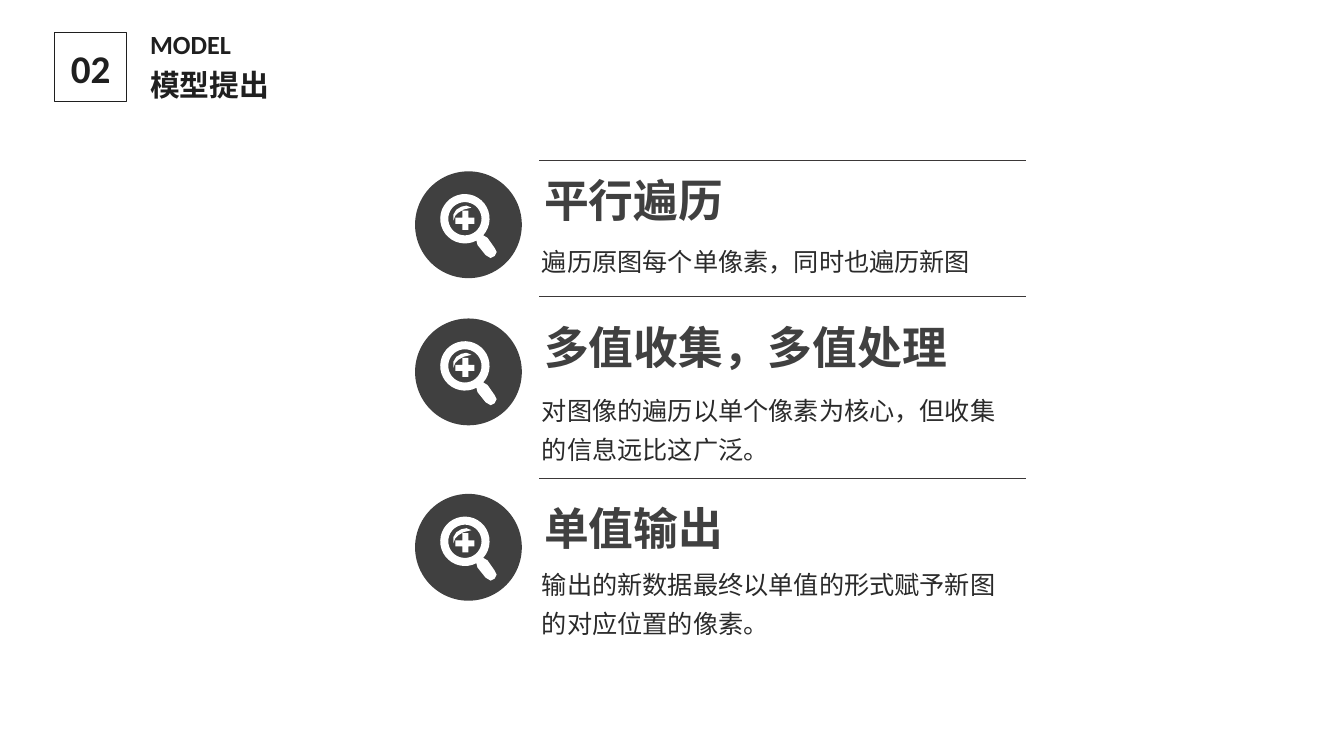
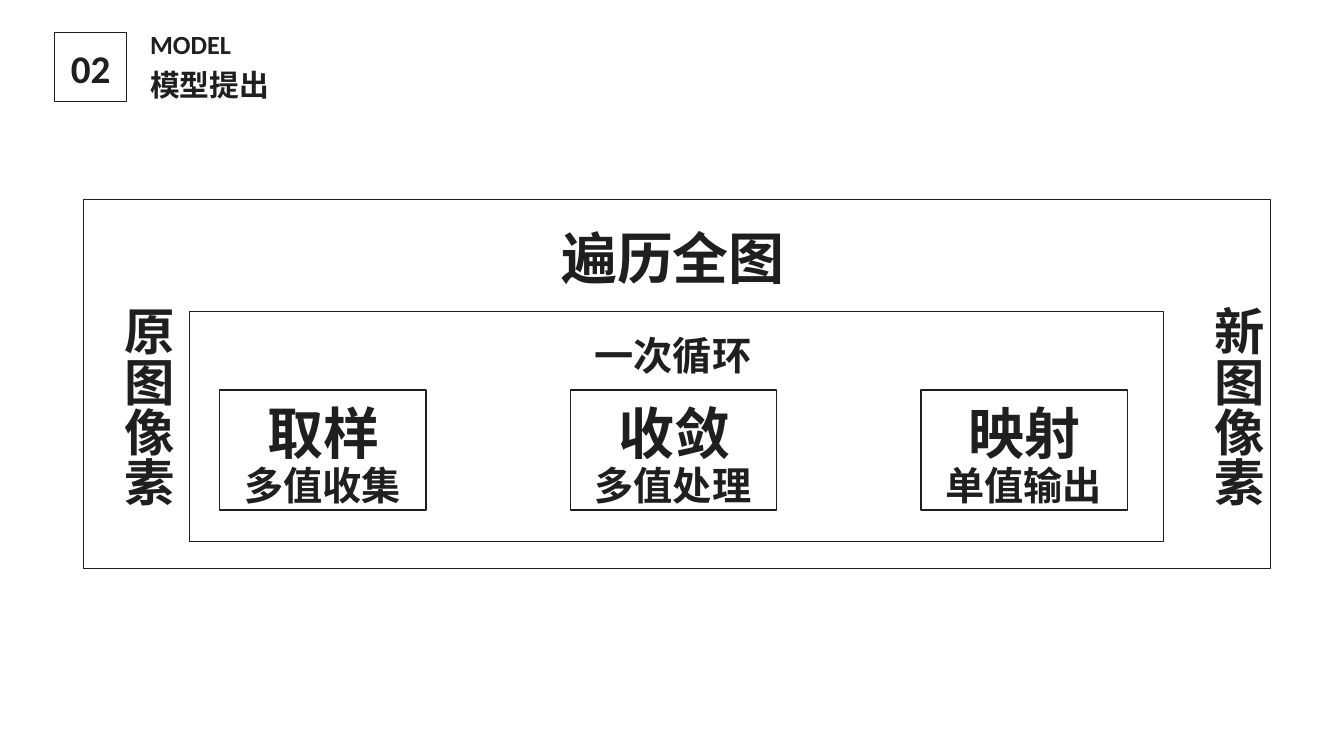
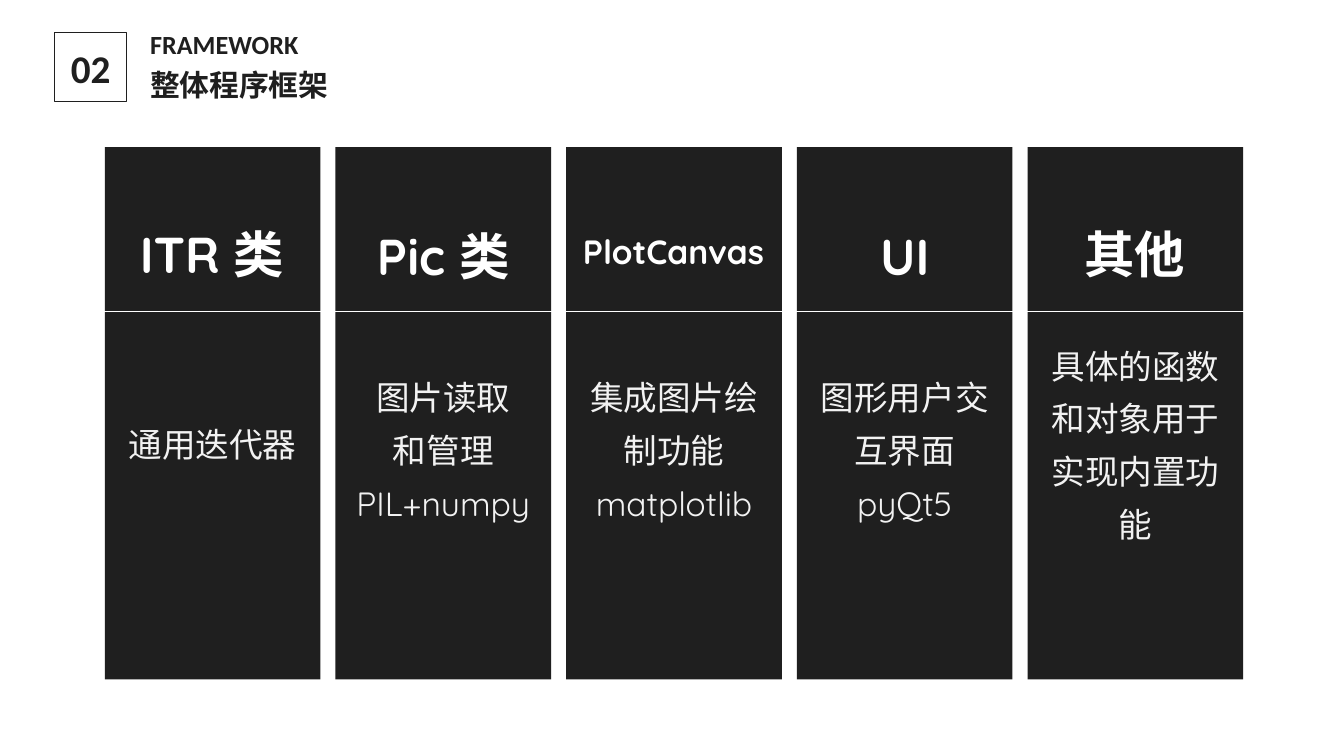
"""Build three slides on an image-processing model and its program framework."""
import math

import pptx
import pptx.dml.color
import pptx.enum.shapes
import pptx.enum.text
import pptx.oxml.ns
import pptx.util
from lxml import etree

PX = 9144
INK, GRAY, BODY, RULE, PALE, WHITE = "1F1F1F", "404040", "2A2A2A", "3B3838", "F2F2F2", "FFFFFF"
CJK = "Noto Sans CJK SC"
WIDE, NORMAL = (13, 7, 13, 7), (10, 5, 10, 5)
SHAPES = pptx.enum.shapes.MSO_SHAPE
LEFT, CENTER = pptx.enum.text.PP_ALIGN.LEFT, pptx.enum.text.PP_ALIGN.CENTER
TOP, MIDDLE = pptx.enum.text.MSO_ANCHOR.TOP, pptx.enum.text.MSO_ANCHOR.MIDDLE


def paint(shape, fill=None, line=None, width=1):
    """Set fill and outline from hex strings and drop the shadow."""
    rgb = pptx.dml.color.RGBColor.from_string
    if hasattr(shape, "fill"):
        shape.shadow.inherit = False
        if fill:
            shape.fill.solid()
            shape.fill.fore_color.rgb = rgb(fill)
        else:
            shape.fill.background()
    else:
        etree.SubElement(shape.element.spPr, pptx.oxml.ns.qn("a:effectLst"))
    if line:
        shape.line.color.rgb = rgb(line)
        shape.line.width = pptx.util.Pt(width)
    else:
        shape.line.fill.background()


def write(shape, lines, color, align=CENTER, anchor=TOP, margins=NORMAL, wrap=True):
    """Write lines of (text, size, font, bold, line height in ems)."""
    frame = shape.text_frame
    frame.word_wrap = wrap
    frame.auto_size = pptx.enum.text.MSO_AUTO_SIZE.NONE
    frame.vertical_anchor = anchor
    frame.margin_left, frame.margin_top, frame.margin_right, frame.margin_bottom = (
        margin * PX for margin in margins)
    for index, (text, size, font, bold, height) in enumerate(lines):
        paragraph = frame.add_paragraph() if index else frame.paragraphs[0]
        paragraph.alignment = align
        paragraph.space_before = pptx.util.Pt(0)
        paragraph.line_spacing = pptx.util.Pt(round(size * height, 1))
        run = paragraph.add_run()
        run.text = text
        run.font.size = pptx.util.Pt(size)
        run.font.bold = bold
        run.font.color.rgb = pptx.dml.color.RGBColor.from_string(color)
        run.font.name = font
        east_asian = etree.SubElement(run.font._element, pptx.oxml.ns.qn("a:ea"))
        east_asian.set("typeface", CJK)


presentation = pptx.Presentation()
presentation.slide_width, presentation.slide_height = 1334 * PX, 750 * PX

slides = []
for english, chinese in [("MODEL", "模型提出"), ("MODEL", "模型提出"), ("FRAMEWORK", "整体程序框架")]:
    slide = presentation.slides.add_slide(presentation.slide_layouts[5])
    title = slide.shapes.title
    title.left, title.top, title.width, title.height = 136 * PX, 19 * PX, 382 * PX, 88 * PX
    write(title, [(english, 18.7, "Calibri", True, 1.34), (chinese, 21.3, CJK, True, 1.43)],
          INK, LEFT, MIDDLE, WIDE)
    badge = slide.shapes.add_shape(SHAPES.RECTANGLE, 54 * PX, 32 * PX, 72 * PX, 69 * PX)
    paint(badge, line=INK, width=0.75)
    write(badge, [("02", 28, "Calibri", True, 1.22)], INK, CENTER, MIDDLE, WIDE)
    slides.append(slide)
steps_slide, loop_slide, framework_slide = slides

lens = [(49.5 + 24.5 * math.cos(math.radians(angle)), 47 + 24.5 * math.sin(math.radians(angle)))
        for angle in range(62, 403, 10)]
handle = [(67, 63), (72, 66), (79, 76), (81, 80), (79, 84), (75, 86), (70, 83), (62, 73), (61, 69)]
hole = [(49.5 + 16.5 * math.cos(math.radians(angle)), 47 + 16.5 * math.sin(math.radians(angle)))
        for angle in range(0, 360, 10)]
cross = [(47, 58), (53, 58), (53, 52), (59, 52), (59, 46), (53, 46),
         (53, 39), (47, 39), (47, 46), (40, 46), (40, 52), (47, 52)]
glint = [(38, 49), (40, 44), (43, 41), (48, 38), (56, 36), (51, 34), (46, 35), (41, 38), (38, 43)]
magnifier = [lens + handle, hole, cross, glint]

steps = [
    (159, 170, 160, 227, 206, 53, "平行遍历", "遍历原图每个单像素，同时也遍历新图"),
    (294, 316, 306, 374, 431, 92, "多值收集，多值处理", "对图像的遍历以单个像素为核心，但收集的信息远比这广泛。"),
    (475, 490, 485, 547, 206, 92, "单值输出", "输出的新数据最终以单值的形式赋予新图的对应位置的像素。"),
]
for rule_y, icon_top, heading_top, body_top, heading_width, body_height, heading, body in steps:
    rule = steps_slide.shapes.add_connector(
        pptx.enum.shapes.MSO_CONNECTOR.STRAIGHT, 535 * PX, rule_y * PX, 1018 * PX, rule_y * PX)
    paint(rule, line=RULE)
    icon = steps_slide.shapes.add_group_shape()
    disc = icon.shapes.add_shape(SHAPES.OVAL, 412 * PX, icon_top * PX, 106 * PX, 106 * PX)
    paint(disc, fill=GRAY)
    contours = [[((412 + x) * PX, (icon_top + y) * PX) for x, y in contour] for contour in magnifier]
    builder = icon.shapes.build_freeform(*contours[0][0], scale=1.0)
    builder.add_line_segments(contours[0][1:], close=True)
    for contour in contours[1:]:
        builder.move_to(*contour[0])
        builder.add_line_segments(contour[1:], close=True)
    paint(builder.convert_to_shape(), fill=WHITE)
    heading_box = steps_slide.shapes.add_textbox(
        527 * PX, heading_top * PX, heading_width * PX, 67 * PX)
    write(heading_box, [(heading, 32, "Arial", True, 1.3)], GRAY, LEFT, TOP, WIDE, False)
    body_box = steps_slide.shapes.add_textbox(525 * PX, body_top * PX, 493 * PX, body_height * PX)
    write(body_box, [(body, 18, CJK, False, 1.55)], BODY, LEFT, TOP, (13, 9, 13, 7))

frames = [(83, 198, 1178, 366), (188, 309, 967, 228)]
frames += [(218 + 348 * index, 387, 205, 119) for index in range(3)]
for frame in frames:
    paint(loop_slide.shapes.add_shape(SHAPES.RECTANGLE, *(length * PX for length in frame)), line=INK)

labels = [("遍历全图", 40, 490, 210, 356, 77), ("一次循环", 28, 490, 319, 356, 57)]
stages = [("取样", "多值收集"), ("收敛", "多值处理"), ("映射", "单值输出")]
for index, (stage, detail) in enumerate(stages):
    left = 218 + 348 * index
    labels += [(stage, 40, left + 37, 383, 132, 77), (detail, 28, left + 10, 448, 184, 57)]
for text, size, *place in labels:
    label = loop_slide.shapes.add_textbox(*(length * PX for length in place))
    write(label, [(text, size, "Quicksand", True, 1.33)], INK)

for text, left in [("原图像素", 98), ("新图像素", 1180)]:
    label = loop_slide.shapes.add_textbox(left * PX, 294 * PX, 81 * PX, 212 * PX)
    write(label, [(text, 36, "Quicksand", True, 1.15)], INK, wrap=False)
    label.text_frame._txBody.bodyPr.set("vert", "eaVert")

columns = [
    ("ITR 类", 36, 154, 183, 113, 53, ["通用迭代器"]),
    ("Pic 类", 36, 156, 198, 113, 65, ["图片读取", "和管理", "PIL+numpy"]),
    ("PlotCanvas", 24, 182, 231, 78, 65, ["集成图片绘制功能", "matplotlib"]),
    ("UI", 36, 156, 198, 113, 65, ["图形用户交互界面", "pyQt5"]),
    ("其他", 36, 154, 183, 113, 55, ["具体的函数和对象用于实现内置功能"]),
]
for index, (heading, size, top, width, height, inset, lines) in enumerate(columns):
    left = 104 + 229 * index
    column = framework_slide.shapes.add_shape(
        SHAPES.RECTANGLE, left * PX, 146 * PX, 214 * PX, 528 * PX)
    paint(column, fill=INK)
    write(column, [(line, 24, "Quicksand", False, 1.57) for line in lines],
          PALE, CENTER, MIDDLE, (10, inset, 10, 5))
    heading_box = framework_slide.shapes.add_textbox(
        (left + (214 - width) // 2) * PX, top * PX, width * PX, height * PX)
    write(heading_box, [(heading, size, "Quicksand", True, 2.45)], WHITE)

divider = framework_slide.shapes.add_connector(
    pptx.enum.shapes.MSO_CONNECTOR.STRAIGHT, 96 * PX, 309 * PX, 1241 * PX, 309 * PX)
paint(divider, line=WHITE, width=0.75)

presentation.save("out.pptx")
